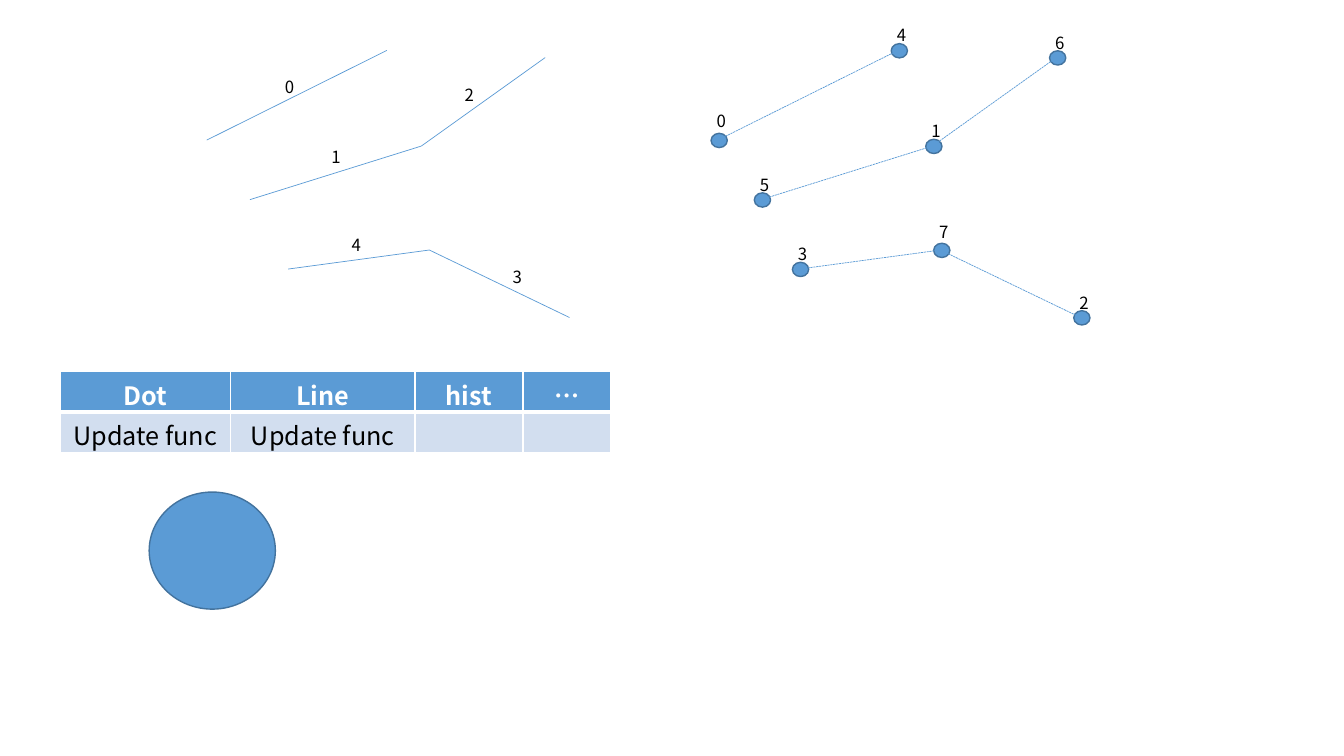
from dataclasses import dataclass

from lxml.etree import SubElement
from pptx import Presentation
from pptx.dml.color import RGBColor
from pptx.enum.dml import MSO_LINE
from pptx.enum.shapes import MSO_CONNECTOR, MSO_SHAPE
from pptx.enum.text import MSO_ANCHOR, MSO_AUTO_SIZE, PP_ALIGN
from pptx.oxml.ns import qn
from pptx.util import Cm, Pt


@dataclass(frozen=True)
class Theme:
    font: str = "Noto Sans CJK KR"
    label_size: int = 12
    table_size: int = 18
    blue: str = "5B9BD5"
    outline: str = "43739E"
    pale: str = "D2DEEF"
    black: str = "000000"
    white: str = "FFFFFF"


class Sketch:
    def __init__(self, slide, theme):
        self.slide = slide
        self.theme = theme

    def style_text(self, paragraph, size, color, bold=False):
        font = paragraph.font
        font.name, font.size, font.bold = self.theme.font, Pt(size), bold
        font.color.rgb = RGBColor.from_string(color)

    def line(self, start, end, dash=None):
        points = [Cm(value) for value in (*start, *end)]
        connector = self.slide.shapes.add_connector(MSO_CONNECTOR.STRAIGHT, *points)
        connector.line.color.rgb = RGBColor.from_string(self.theme.blue)
        connector.line.width = Pt(0.5)
        if dash:
            connector.line.dash_style = dash
        SubElement(connector._element.spPr, qn("a:effectLst"))

    def ellipse(self, left, top, width, height):
        oval = self.slide.shapes.add_shape(
            MSO_SHAPE.OVAL, Cm(left), Cm(top), Cm(width), Cm(height))
        oval.shadow.inherit = False
        oval.fill.solid()
        oval.fill.fore_color.rgb = RGBColor.from_string(self.theme.blue)
        oval.line.color.rgb = RGBColor.from_string(self.theme.outline)
        oval.line.width = Pt(1)

    def label(self, number, left, top):
        box = self.slide.shapes.add_textbox(Cm(left), Cm(top), Cm(1.07), Cm(0.76))
        box.text_frame.word_wrap = True
        box.text_frame.auto_size = MSO_AUTO_SIZE.SHAPE_TO_FIT_TEXT
        paragraph = box.text_frame.paragraphs[0]
        paragraph.text = str(number)
        self.style_text(paragraph, self.theme.label_size, self.theme.black)

    def border(self, cell, side, width):
        edge = SubElement(cell._tc.get_or_add_tcPr(), qn(f"a:{side}"), w=str(Pt(width)))
        fill = SubElement(edge, qn("a:solidFill"))
        SubElement(fill, qn("a:srgbClr"), val=self.theme.white)

    def cell(self, cell, text, is_header, edge_widths):
        for side, width in edge_widths.items():
            self.border(cell, side, width)
        cell.fill.solid()
        cell.fill.fore_color.rgb = RGBColor.from_string(
            self.theme.blue if is_header else self.theme.pale)
        cell.vertical_anchor = MSO_ANCHOR.MIDDLE
        cell.margin_top, cell.margin_bottom = Cm(0.1), Cm(0)
        paragraph = cell.text_frame.paragraphs[0]
        paragraph.text = text
        paragraph.alignment = PP_ALIGN.CENTER
        color = self.theme.white if is_header else self.theme.black
        self.style_text(paragraph, self.theme.table_size, color, is_header)

    def table(self, left, top, column_widths, row_height, rows):
        table = self.slide.shapes.add_table(
            len(rows), len(column_widths), Cm(left), Cm(top),
            Cm(sum(column_widths)), Cm(row_height * len(rows))).table
        table.horz_banding = False
        for column, width in zip(table.columns, column_widths):
            column.width = Cm(width)
        for r, texts in enumerate(rows):
            edges = {"lnL": 1, "lnR": 1, "lnT": 3 if r == 1 else 1,
                     "lnB": 3 if r == 0 else 1}
            for c, text in enumerate(texts):
                self.cell(table.cell(r, c), text, r == 0, edges)


presentation = Presentation()
presentation.slide_width, presentation.slide_height = Cm(33.87), Cm(19.05)
sketch = Sketch(presentation.slides.add_slide(presentation.slide_layouts[6]), Theme())

# Points by dot number, and the pairs of dots that each line joins
points = {0: (5.21, 3.53), 1: (10.62, 3.68), 2: (14.35, 8.0), 3: (7.26, 6.78),
          4: (9.75, 1.27), 5: (6.3, 5.03), 6: (13.74, 1.45), 7: (10.82, 6.3)}
joins = [(0, 4), (5, 1), (1, 6), (7, 2), (3, 7)]

# Left: numbered lines
line_labels = [(6.93, 1.8), (8.1, 3.58), (11.46, 2.01), (12.67, 6.6), (8.61, 5.79)]
for number, ((start, end), place) in enumerate(zip(joins, line_labels)):
    sketch.line(points[start], points[end])
    sketch.label(number, *place)

# Right: the same layout as numbered dots with dashed links
dots = {number: (x + 12.88, y) for number, (x, y) in points.items()}
label_lift = {0: 0.1, 7: 0.08}
for x, y in dots.values():
    sketch.ellipse(x - 0.17, y - 0.17, 0.41, 0.36)
for start, end in joins:
    sketch.line(dots[start], dots[end], MSO_LINE.SQUARE_DOT)
for number, (x, y) in dots.items():
    sketch.label(number, x - 0.28, y - 0.76 - label_lift.get(number, 0))

# Update functions per mark type
sketch.table(1.52, 9.37, [4.29, 4.65, 2.72, 2.21], 1.02,
             [["Dot", "Line", "hist", "…"], ["Update func", "Update func", "", ""]])

# Large dot
sketch.ellipse(3.76, 12.4, 3.18, 2.95)

presentation.save("out.pptx")
